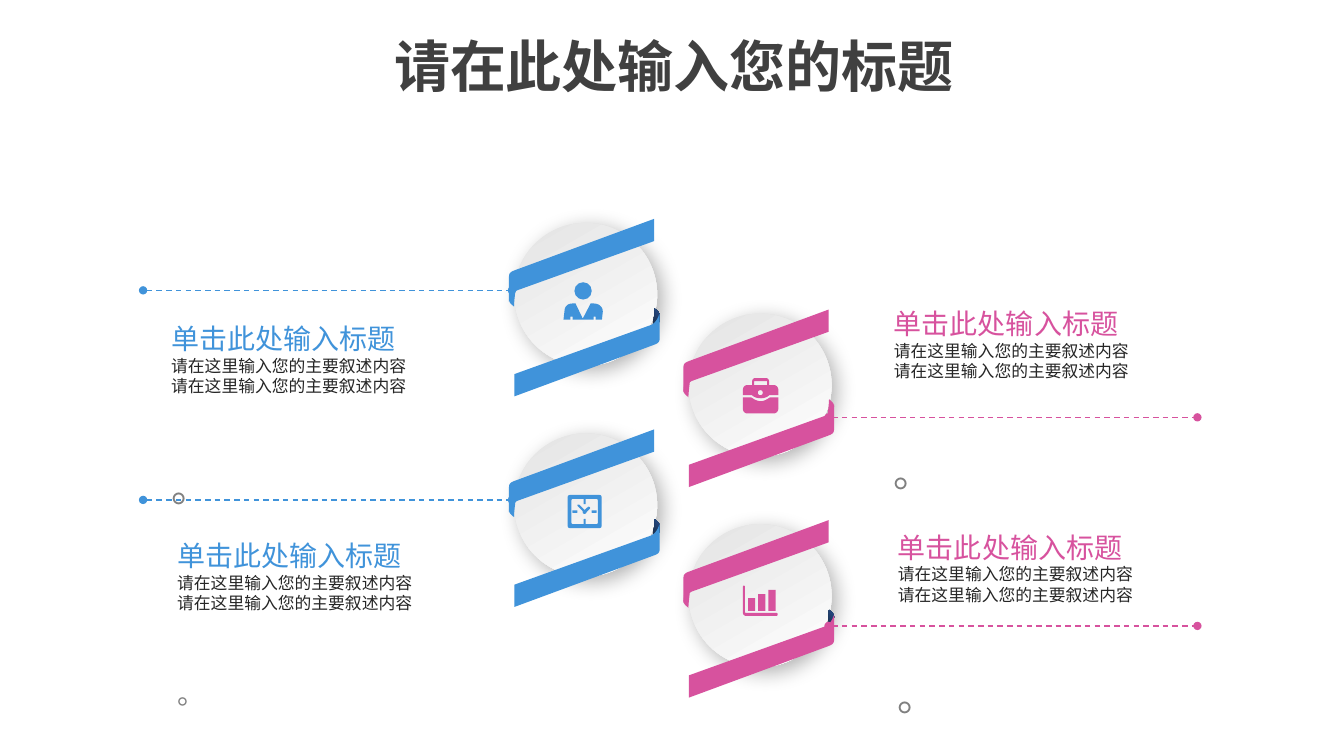
from lxml.etree import SubElement
from pptx import Presentation
from pptx.dml.color import RGBColor
from pptx.enum.dml import MSO_LINE
from pptx.enum.shapes import MSO_CONNECTOR, MSO_SHAPE
from pptx.enum.text import PP_ALIGN
from pptx.oxml.ns import qn
from pptx.util import Pt

BLUE = RGBColor(0x40, 0x93, 0xDA)
PINK = RGBColor(0xD7, 0x52, 0x9E)
NAVY = RGBColor(0x1B, 0x2C, 0x45)
ROYAL = RGBColor(0x25, 0x4E, 0x8C)
SILVER = RGBColor(0xE4, 0xE4, 0xE4)
PEARL = RGBColor(0xFE, 0xFE, 0xFE)
HEADING = RGBColor(0x40, 0x40, 0x40)
BODY = RGBColor(0x26, 0x26, 0x26)
GRAY = RGBColor(0x80, 0x80, 0x80)
CJK_FONT = "Noto Sans CJK SC"

DISC = 102.2
RIBBON_SPAN = (100.4, 121)  # a half turn maps (x, y) to span - (x, y)
UNITS = 100  # freeform units per point

# Outlines in points from the top left of a badge's disc: M move, L line, C curve
FOLD = "M 1 48.2 C .7 51.8 0 56.2 0 59.8 C -.7 59 -3.6 57.6 -3.6 54.7 L -2.9 47.5"
RIBBON = ("M 100.1 13 L 100.1 -2.9 L .7 33.8 C -1.4 34.6 -3.6 35.3 -3.6 38.2 "
          "L -3.6 56.2 C -1.4 50.4 0 49.7 2.2 48.2")
SHOULDERS = ("M 40.3 69.1 L 40.3 67 L 41.8 67 L 41.8 69.1 L 56.9 69.1 L 56.9 67 L 58.3 67 "
             "L 58.3 69.1 L 62.8 69.1 L 63.4 63.4 C 63.4 59.8 60.5 57.6 56.9 57.6 L 54.7 57.6 "
             "L 49.1 68.4 L 43.9 57.6 L 41.8 57.6 C 38.2 57.6 36 59.8 36 63.4 L 35.3 69.1")
CASE_BOTTOM = ("M 51.8 62.6 C 48.9 62.6 46.8 61.2 44.6 59.8 L 38.9 59.8 L 38.9 68.4 "
               "C 38.9 69.8 40.3 71.3 41.8 71.3 L 61.2 71.3 C 62.6 71.3 64.1 69.8 64.1 68.4 "
               "L 64.1 59.8 L 58.3 59.8 C 56.2 61.2 54 62.6 51.8 62.6")
CASE_TOP = ("M 61.2 51.1 L 57.6 51.1 L 57.6 49 C 57.6 47.5 56.9 46.1 55.4 46.1 L 47.5 46.1 "
            "C 46.1 46.1 45.4 47.5 45.4 49 L 45.4 51.1 L 41.8 51.1 C 40.3 51.1 38.9 52.6 38.9 54 "
            "L 38.9 58.3 L 45.4 58.3 C 46.8 59.8 49 60.5 51.8 60.5 C 54 60.5 56.2 59.8 57.6 58.3 "
            "L 64.1 58.3 L 64.1 54 C 64.1 52.6 62.6 51.1 61.2 51.1 "
            "M 46.8 48.2 L 56.2 48.2 L 56.2 51.1 L 46.8 51.1 "
            "M 49.5 56.5 C 49.5 54.1 53.1 54.1 53.1 56.5 C 53.1 58.9 49.5 58.9 49.5 56.5")
CLOCK_HANDS = ("M 51.8 56.2 L 54 54 C 54.4 53.6 54.4 53 54 52.6 C 53.6 52.3 53 52.3 52.6 52.6 "
               "L 50.4 54.7 L 46.8 51.1 C 46 50.4 44.7 51.1 45.4 51.8 L 49 55.4 "
               "C 48.6 58 51.4 58 51.8 56.2")
CHART_AXES = ("M 63 63.4 L 40.7 63.4 L 40.3 63 L 40.3 44.6 C 40.3 43.7 38.9 43.7 38.9 44.6 "
              "L 38.9 63.4 C 38.9 64.1 39.6 65.5 41 65.5 L 63 65.5 C 63.9 65.5 63.9 63.4 63 63.4")


def round_rectangle(left, top, right, bottom, radius):
    return (f"M {left + radius} {top} L {right - radius} {top} "
            f"C {right} {top} {right} {top} {right} {top + radius} L {right} {bottom - radius} "
            f"C {right} {bottom} {right} {bottom} {right - radius} {bottom} "
            f"L {left + radius} {bottom} C {left} {bottom} {left} {bottom} {left} {bottom - radius} "
            f"L {left} {top + radius} C {left} {top} {left} {top} {left + radius} {top}")


def flatten(outline, turned):
    """Return the outline's contours as lists of points, curves cut into short lines."""
    contours, words = [], iter(outline.split())
    for command in words:
        values = [float(next(words)) for _ in range(6 if command == "C" else 2)]
        points = list(zip(values[::2], values[1::2]))
        if turned:
            points = [(RIBBON_SPAN[0] - x, RIBBON_SPAN[1] - y) for x, y in points]
        if command == "M":
            contours.append(points)
        elif command == "L":
            contours[-1] += points
        else:
            controls = [contours[-1][-1]] + points
            for step in range(1, 9):
                t = step / 8
                weights = ((1 - t) ** 3, 3 * t * (1 - t) ** 2, 3 * t * t * (1 - t), t ** 3)
                contours[-1].append(tuple(
                    sum(w * point[axis] for w, point in zip(weights, controls))
                    for axis in (0, 1)))
    return [[(x * UNITS, y * UNITS) for x, y in contour] for contour in contours]


def paint(shape, color):
    shape.shadow.inherit = False
    shape.line.fill.background()
    shape.fill.solid()
    shape.fill.fore_color.rgb = color


def paint_gradient(shape, first, last, angle):
    shape.fill.gradient()
    shape.fill.gradient_angle = angle
    for stop, color in zip(shape.fill.gradient_stops, (first, last)):
        stop.color.rgb = color


def add_outline(group, left, top, outline, color, turned=False):
    contours = flatten(outline, turned)
    builder = group.shapes.build_freeform(*contours[0][0], scale=Pt(1) / UNITS)
    for index, contour in enumerate(contours):
        if index:
            builder.move_to(*contour[0])
        builder.add_line_segments(contour[1:], close=True)
    shape = builder.convert_to_shape(Pt(left), Pt(top))
    paint(shape, color)
    return shape


def add_preset(group, kind, left, top, width, height, color):
    shape = group.shapes.add_shape(kind, Pt(left), Pt(top), Pt(width), Pt(height))
    paint(shape, color)
    return shape


# Icons
def person_icon(group, left, top, color):
    add_preset(group, MSO_SHAPE.OVAL, left + 43.1, top + 42.4, 12.4, 12.4, color)
    add_outline(group, left, top, SHOULDERS, color)


def briefcase_icon(group, left, top, color):
    add_outline(group, left, top, CASE_BOTTOM, color)
    add_outline(group, left, top, CASE_TOP, color)


def clock_icon(group, left, top, color):
    rings = [(38.2, 43.9, 62.6, 67.7, 4), (41, 46.8, 59.8, 64.8, 2)]
    ticks = [(49.6, y, 51.2, y + 3.6, 0.7) for y in (46.9, 61.1)]
    ticks += [(x, 54.9, x + 3.6, 56.7, 0.7) for x in (41.6, 55.4)]
    parts = [round_rectangle(*box) for box in rings + ticks]
    add_outline(group, left, top, " ".join(parts + [CLOCK_HANDS]), color)


def chart_icon(group, left, top, color):
    for index in range(3):
        height = 9 + 3 * index
        add_preset(group, MSO_SHAPE.RECTANGLE, left + 42.5 + 7.3 * index,
                   top + 61.9 - height, 5.2, height, color)
    add_outline(group, left, top, CHART_AXES, color)


def add_badge(slide, left, top, color, icon, dark_fold):
    group = slide.shapes.add_group_shape()
    # Disc with soft shadow
    disc = add_preset(group, MSO_SHAPE.OVAL, left, top, DISC, DISC, PEARL)
    paint_gradient(disc, SILVER, PEARL, 300)
    effects = disc.element.spPr.find(qn("a:effectLst"))
    shadow = SubElement(effects, qn("a:outerShdw"), blurRad=str(Pt(15)), dist=str(Pt(5)),
                        dir="2700000", algn="tl", rotWithShape="0")
    black = SubElement(shadow, qn("a:srgbClr"), val="000000")
    SubElement(black, qn("a:alpha"), val="30000")
    # Upper ribbon, then the same turned by half
    for turned in (False, True):
        fold = add_outline(group, left, top, FOLD, color, turned)
        if turned and dark_fold:
            paint_gradient(fold, NAVY, ROYAL, 40)
        add_outline(group, left, top, RIBBON, color, turned)
    icon(group, left, top, color)


def add_leader(slide, left, top, color):
    line = slide.shapes.add_connector(MSO_CONNECTOR.STRAIGHT, Pt(left), Pt(top),
                                      Pt(left + 263.5), Pt(top))
    line.line.color.rgb = color
    line.line.width = Pt(1)
    line.line.dash_style = MSO_LINE.DASH
    for end in ("a:headEnd", "a:tailEnd"):
        SubElement(line.line._get_or_add_ln(), qn(end), type="oval")
    SubElement(line.element.spPr, qn("a:effectLst"))


def add_text(slide, left, top, width, height, lines, alignment=PP_ALIGN.LEFT):
    """Each line is (text, size, color, font, line height, space before)."""
    frame = slide.shapes.add_textbox(Pt(left), Pt(top), Pt(width), Pt(height)).text_frame
    frame.word_wrap = False
    for index, (text, size, color, font, line_height, gap) in enumerate(lines):
        paragraph = frame.paragraphs[0] if index == 0 else frame.add_paragraph()
        paragraph.alignment = alignment
        paragraph.line_spacing = Pt(line_height)
        paragraph.space_before = Pt(gap)
        run = paragraph.add_run()
        run.text = text
        run.font.size = Pt(size)
        run.font.bold = size == 40
        run.font.color.rgb = color
        run.font.name = font
        SubElement(run.font._element, qn("a:ea"), typeface=CJK_FONT)


def add_caption(slide, left, top, color, mark_size):
    body = ("请在这里输入您的主要叙述内容", 12, BODY, CJK_FONT, 14.4, 0)
    add_text(slide, left, top, 184.3, 148, [
        ("单击此处输入标题", 20, color, CJK_FONT, 25, 0), body, body,
        ("。", mark_size, GRAY, "Arial", mark_size * 1.56, 38.4)])


def main():
    presentation = Presentation()
    presentation.slide_width, presentation.slide_height = Pt(960), Pt(540)
    slide = presentation.slides.add_slide(presentation.slide_layouts[6])
    add_text(slide, 271.4, 17.3, 419.8, 55.4,
             [("请在此处输入您的标题", 40, HEADING, CJK_FONT, 50, 0)], PP_ALIGN.CENTER)
    # Badges: left, top, color, icon, dark fold, leader offset, caption left, top, mark size
    items = [
        (491.8, 224, PINK, briefcase_icon, False, (100, 74.1), (631.4, 214.6), 28),
        (367.2, 309.6, BLUE, clock_icon, True, (-265, 47.5), (119.5, 380.2), 20),
        (367.2, 159.2, BLUE, person_icon, True, (-265, 48.2), (115.2, 225.4), 28),
        (491.8, 374.4, PINK, chart_icon, True, (100, 72.7), (634.3, 374.4), 28),
    ]
    for left, top, color, icon, dark_fold, leader, caption, mark_size in items:
        add_badge(slide, left, top, color, icon, dark_fold)
        add_leader(slide, left + leader[0], top + leader[1], color)
        add_caption(slide, *caption, color, mark_size)
    presentation.save("out.pptx")


if __name__ == "__main__":
    main()
